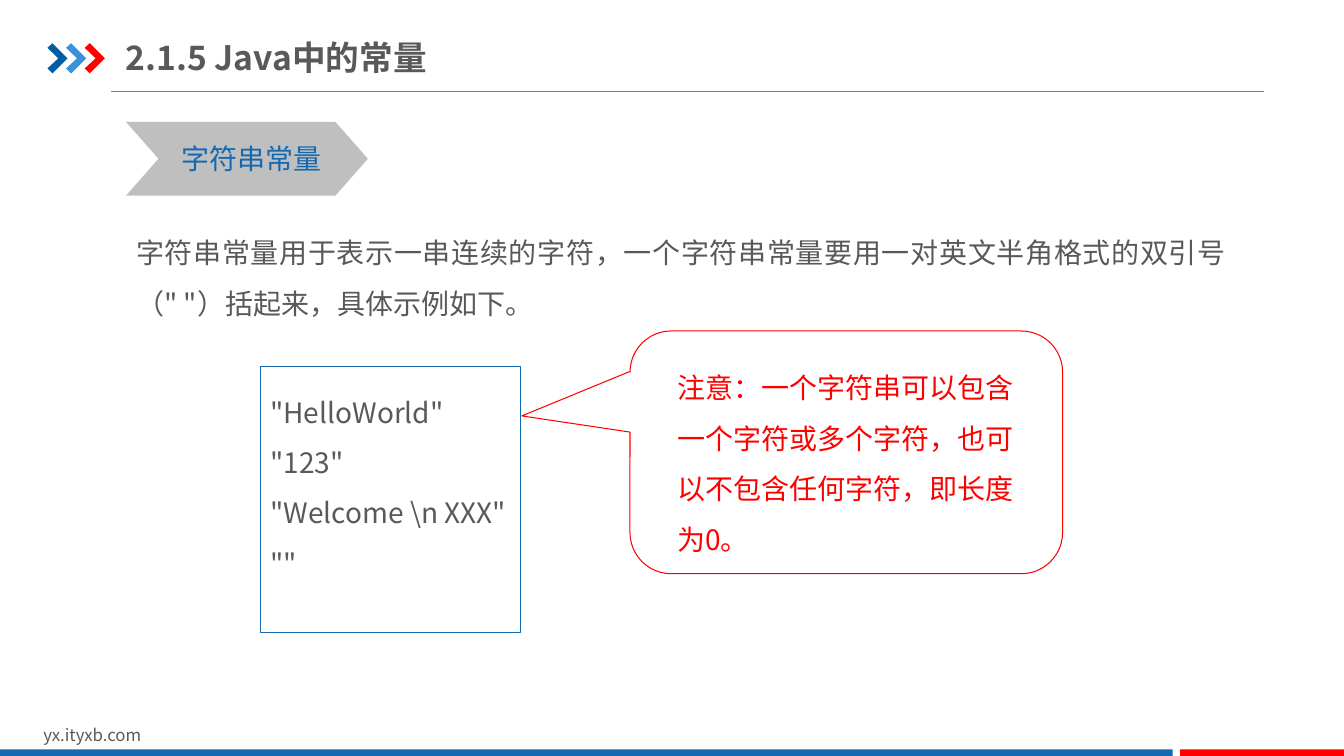
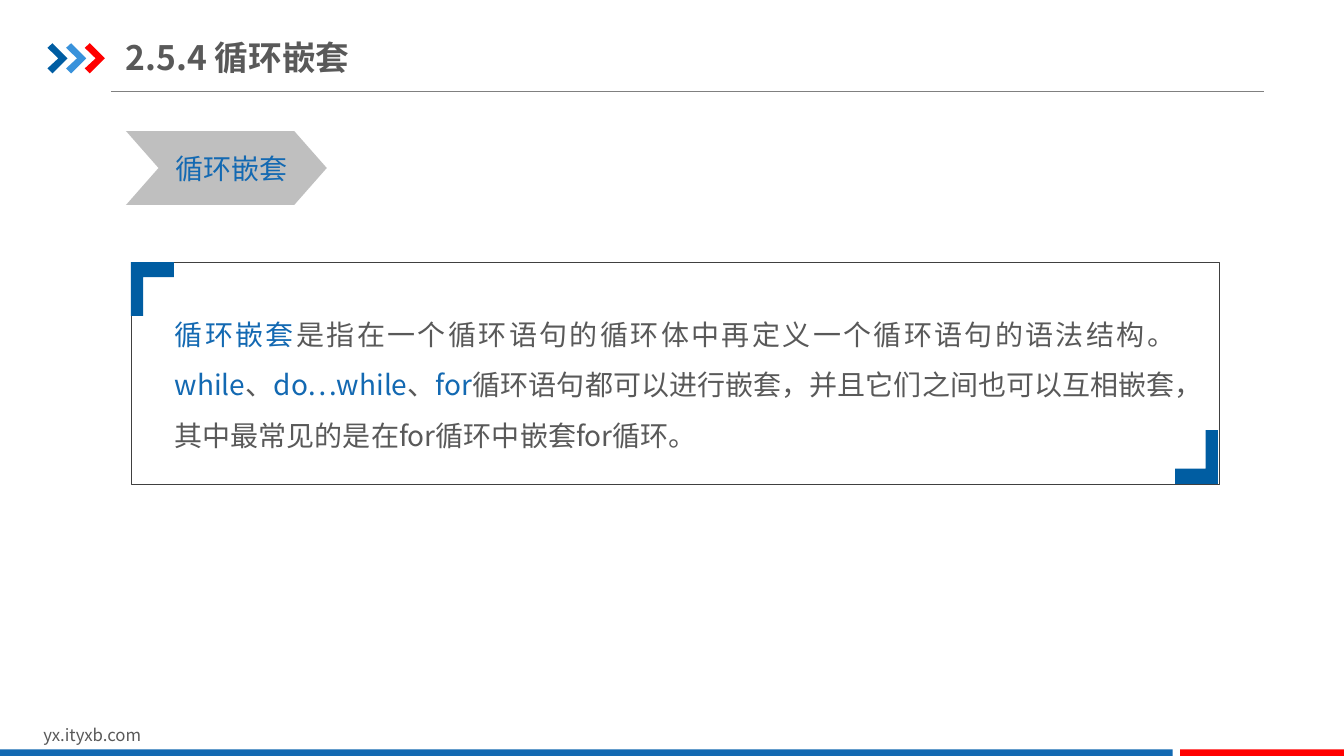
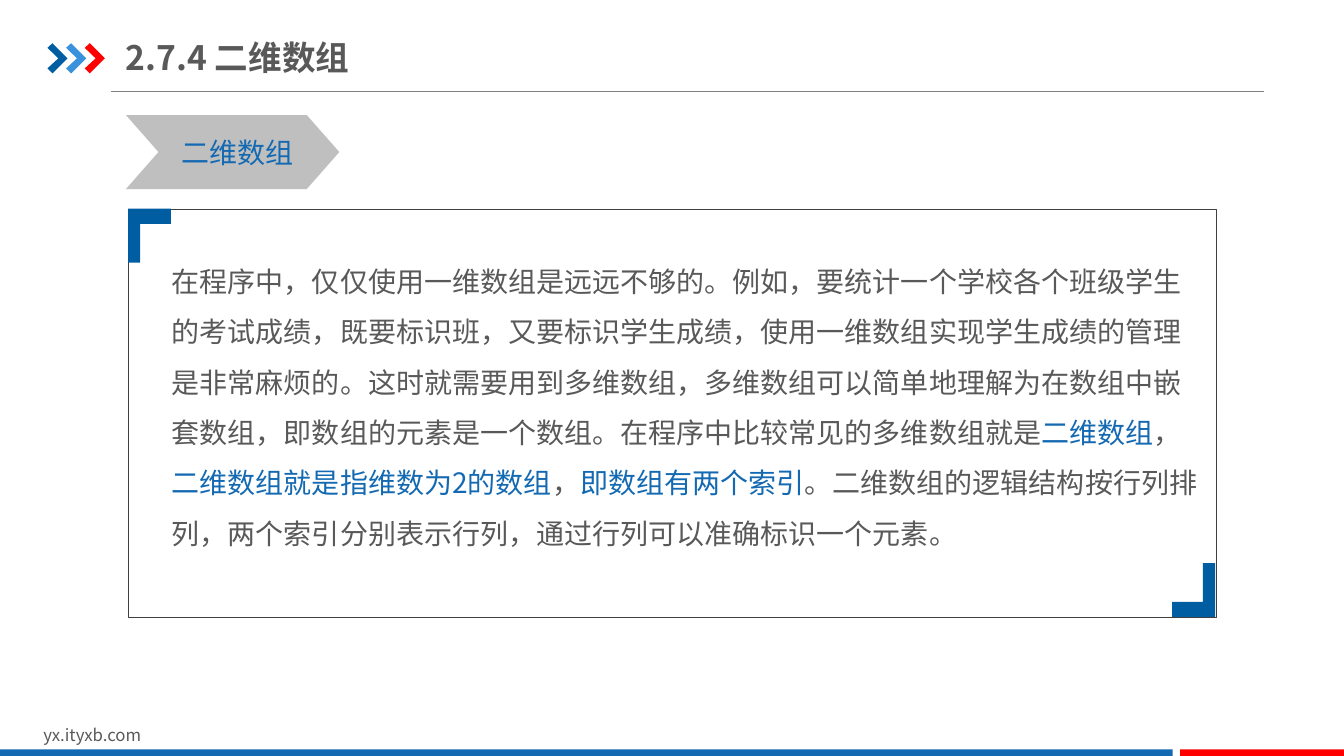
from dataclasses import dataclass

from lxml import etree
from pptx import Presentation
from pptx import util as u
from pptx.dml.color import RGBColor
from pptx.enum import shapes, text
from pptx.oxml import ns

COLUMNS, ROWS = 160, 90
CELL = u.Inches(1) // 12


@dataclass(frozen=True)
class Theme:
    """Colours, font and type sizes of the deck."""
    font: str = "Noto Sans CJK SC"
    ink: str = "595959"
    blue: str = "1369B2"
    deep_blue: str = "005DA2"
    light_blue: str = "3992DB"
    red: str = "FF0000"
    tag: str = "BFBFBF"
    rule: str = "808080"
    border: str = "404040"
    title_size: int = 24
    body_size: int = 20
    footer_size: int = 12


@dataclass(frozen=True)
class Box:
    """A rectangle in grid columns and rows."""
    x: float
    y: float
    w: float
    h: float

    def emu(self):
        """Return left, top, width and height in EMU."""
        return [round(v * CELL) for v in (self.x, self.y, self.w, self.h)]


THEME = Theme()


def rgb(value):
    """Turn a hex string into a colour."""
    return RGBColor.from_string(value)


def paint(shape, fill=None, line=None, width=0.75):
    """Set fill and outline, and drop the shadow."""
    shape.shadow.inherit = False
    if fill:
        shape.fill.solid()
        shape.fill.fore_color.rgb = rgb(fill)
    else:
        shape.fill.background()
    if line:
        shape.line.color.rgb = rgb(line)
        shape.line.width = u.Pt(width)
    else:
        shape.line.fill.background()
    return shape


def add_block(slide, kind, box, **look):
    """Add a painted preset shape."""
    return paint(slide.shapes.add_shape(kind, *box.emu()), **look)


def add_outline(slide, x, y, points, fill, sign=1):
    """Add a polygon whose points are offsets from x, y."""
    corners = [(round((x + sign * px) * CELL), round((y + sign * py) * CELL))
               for px, py in points]
    builder = slide.shapes.build_freeform(*corners[0], scale=1.0)
    builder.add_line_segments(corners[1:], close=True)
    return paint(builder.convert_to_shape(), fill=fill)


def set_insets(frame, left=0.1, top=0.05, right=0.1, bottom=0.05):
    """Set the text margins in inches."""
    frame.margin_left, frame.margin_top = u.Inches(left), u.Inches(top)
    frame.margin_right, frame.margin_bottom = u.Inches(right), u.Inches(bottom)


def write(shape, copy, size=THEME.body_size, color=THEME.ink, bold=False,
          spacing=1.0, align=text.PP_ALIGN.LEFT, anchor=text.MSO_ANCHOR.TOP,
          wrap=True):
    """Write lines of text; stretches between bars take the accent colour."""
    frame = shape.text_frame
    frame.auto_size = text.MSO_AUTO_SIZE.NONE
    frame.word_wrap = wrap
    frame.vertical_anchor = anchor
    for row, line in enumerate(copy.split("\n")):
        paragraph = frame.add_paragraph() if row else frame.paragraphs[0]
        paragraph.alignment = align
        paragraph.line_spacing = spacing
        paragraph.space_before = u.Pt(0)
        for part, words in enumerate(line.split("|")):
            if not words:
                continue
            run = paragraph.add_run()
            run.text = words
            run.font.name = THEME.font
            run.font.size = u.Pt(size)
            run.font.bold = bold
            run.font.color.rgb = rgb(THEME.blue if part % 2 else color)
            east_asian = etree.SubElement(run.font._element, ns.qn("a:ea"))
            east_asian.set("typeface", THEME.font)


def place(shape, box):
    """Move a shape to a box."""
    shape.left, shape.top, shape.width, shape.height = box.emu()


def add_heading_band(slide):
    """Draw the three arrows and the rule beside the title."""
    y = 10.95
    rule = slide.shapes.add_connector(
        shapes.MSO_CONNECTOR.STRAIGHT,
        *[round(v * CELL) for v in (13.2, y, 150.5, y)])
    rule.line.color.rgb = rgb(THEME.rule)
    rule.line.width = u.Pt(0.75)
    etree.SubElement(rule._element.spPr, ns.qn("a:effectLst"))
    arrow = [(0, 0.55), (0.6, 0), (2.4, 1.8), (0.6, 3.6), (0, 3), (1.3, 1.8)]
    colors = (THEME.deep_blue, THEME.light_blue, THEME.red)
    for i, color in enumerate(colors):
        add_outline(slide, 5.65 + 2.22 * i, 5.15, arrow, color)


def add_footer(slide):
    """Draw the site address and the two bars at the foot."""
    address = slide.shapes.add_textbox(*Box(4, 85.7, 38.2, 3.6).emu())
    write(address, "yx.ityxb.com", size=THEME.footer_size)
    for left, right, color in ((0, 139.6, THEME.blue),
                               (140.5, COLUMNS, THEME.red)):
        add_block(slide, shapes.MSO_SHAPE.RECTANGLE,
                  Box(left, 89.2, right - left, 1), fill=color)


def furnish_layout(slide):
    """Draw the shared parts once and hand them to the layout."""
    before = len(slide.shapes)
    add_heading_band(slide)
    add_footer(slide)
    tree = slide.slide_layout.shapes.element
    for part in list(slide.shapes)[before:]:
        tree.append(part.element)


def add_title(slide, title):
    """Fill the title placeholder."""
    heading = slide.shapes.title
    place(heading, Box(15, 3.5, 66, 6.6))
    set_insets(heading.text_frame, 0, 0.07, 0, 0.07)
    write(heading, title, size=THEME.title_size, bold=True,
          anchor=text.MSO_ANCHOR.MIDDLE)


def add_tag(slide, label, y, width):
    """Add the grey chevron with its topic."""
    tag = add_block(slide, shapes.MSO_SHAPE.CHEVRON, Box(15, y, width, 8.8),
                    fill=THEME.tag)
    tag.adjustments[0] = 0.44
    set_insets(tag.text_frame, left=0.1, right=0)
    write(tag, label, color=THEME.blue, align=text.PP_ALIGN.CENTER,
          anchor=text.MSO_ANCHOR.MIDDLE, wrap=False)


def add_body(slide, copy, box, align):
    """Fill the body placeholder with an unbulleted paragraph."""
    body = slide.placeholders[1]
    place(body, box)
    set_insets(body.text_frame)
    write(body, copy, spacing=1.5, align=align)
    for paragraph in body.text_frame.paragraphs:
        props = paragraph._p.get_or_add_pPr()
        props.set("marL", "0")
        props.set("indent", "0")
        etree.SubElement(props, ns.qn("a:buNone"))


def add_framed_body(slide, copy, box, align, right):
    """Add a bordered paragraph with brackets in two corners."""
    pad = 4
    add_body(slide, copy, Box(box.x + pad, box.y + pad,
                              box.w - pad - right, box.h - 2 * pad), align)
    add_block(slide, shapes.MSO_SHAPE.RECTANGLE, box,
              line=THEME.border, width=0.25)
    bracket = [(0, 0), (5.1, 0), (5.1, 1.8), (1.45, 1.8), (1.45, 6.4), (0, 6.4)]
    add_outline(slide, box.x, box.y, bracket, THEME.deep_blue)
    add_outline(slide, box.x + box.w - 0.1, box.y + box.h, bracket,
                THEME.deep_blue, sign=-1)


def add_code(slide, code, box):
    """Add a blue-edged box of code."""
    listing = add_block(slide, shapes.MSO_SHAPE.RECTANGLE, box, line=THEME.blue)
    set_insets(listing.text_frame, top=0.12)
    write(listing, code, spacing=1.5)


def add_callout(slide, note, box):
    """Add a red speech bubble pointing left."""
    bubble = add_block(slide, shapes.MSO_SHAPE.ROUNDED_RECTANGULAR_CALLOUT,
                       box, line=THEME.red)
    for i, value in enumerate((-0.75, -0.15, 0.17)):
        bubble.adjustments[i] = value
    set_insets(bubble.text_frame, left=0.35, top=0.11, right=0.35, bottom=0)
    write(bubble, note, color=THEME.red, spacing=1.5)


def string_slide(slide):
    """Build the slide on string constants."""
    add_title(slide, "2.1.5 Java中的常量")
    add_tag(slide, "字符串常量", 14.5, 28.8)
    add_body(slide, "字符串常量用于表示一串连续的字符，一个字符串常量要用一对英文半角格式的"
             "双引号（\" \"）括起来，具体示例如下。",
             Box(15, 25.45, 132.1, 15.7), text.PP_ALIGN.JUSTIFY)
    add_code(slide, '"HelloWorld"\n"123"\n"Welcome \\n XXX"\n""',
             Box(31, 43.6, 31, 31.7))
    add_callout(slide, "注意：一个字符串可以包含一个字符或多个字符，也可以不包含任何字符，"
                "即长度为0。", Box(75, 39.4, 51.5, 28.9))


def loop_slide(slide):
    """Build the slide on nested loops."""
    add_title(slide, "2.5.4 循环嵌套")
    add_tag(slide, "循环嵌套", 15.6, 23.9)
    add_framed_body(
        slide, "|循环嵌套|是指在一个循环语句的循环体中再定义一个循环语句的语法结构。"
        "|while|、|do…while|、|for|循环语句都可以进行嵌套，并且它们之间也可以互相嵌套，"
        "其中最常见的是在for循环中嵌套for循环。",
        Box(15.6, 31.2, 129.5, 26.4), text.PP_ALIGN.JUSTIFY, right=4)


def array_slide(slide):
    """Build the slide on two-dimensional arrays."""
    add_title(slide, "2.7.4 二维数组")
    add_tag(slide, "二维数组", 13.7, 25.4)
    add_framed_body(
        slide, "在程序中，仅仅使用一维数组是远远不够的。例如，要统计一个学校各个班级学生的"
        "考试成绩，既要标识班，又要标识学生成绩，使用一维数组实现学生成绩的管理是非常麻烦的。"
        "这时就需要用到多维数组，多维数组可以简单地理解为在数组中嵌套数组，即数组的元素是"
        "一个数组。在程序中比较常见的多维数组就是|二维数组|，|二维数组就是指维数为2的数组|，"
        "|即数组有两个索引|。二维数组的逻辑结构按行列排列，两个索引分别表示行列，"
        "通过行列可以准确标识一个元素。",
        Box(15.25, 24.85, 129.5, 48.6), text.PP_ALIGN.LEFT, right=0.6)


def main():
    """Build and save the deck."""
    deck = Presentation()
    deck.slide_width, deck.slide_height = COLUMNS * CELL, ROWS * CELL
    layout = deck.slide_layouts[1]
    for number, build in enumerate((string_slide, loop_slide, array_slide)):
        slide = deck.slides.add_slide(layout)
        if number == 0:
            furnish_layout(slide)
        build(slide)
    deck.save("out.pptx")


if __name__ == "__main__":
    main()
